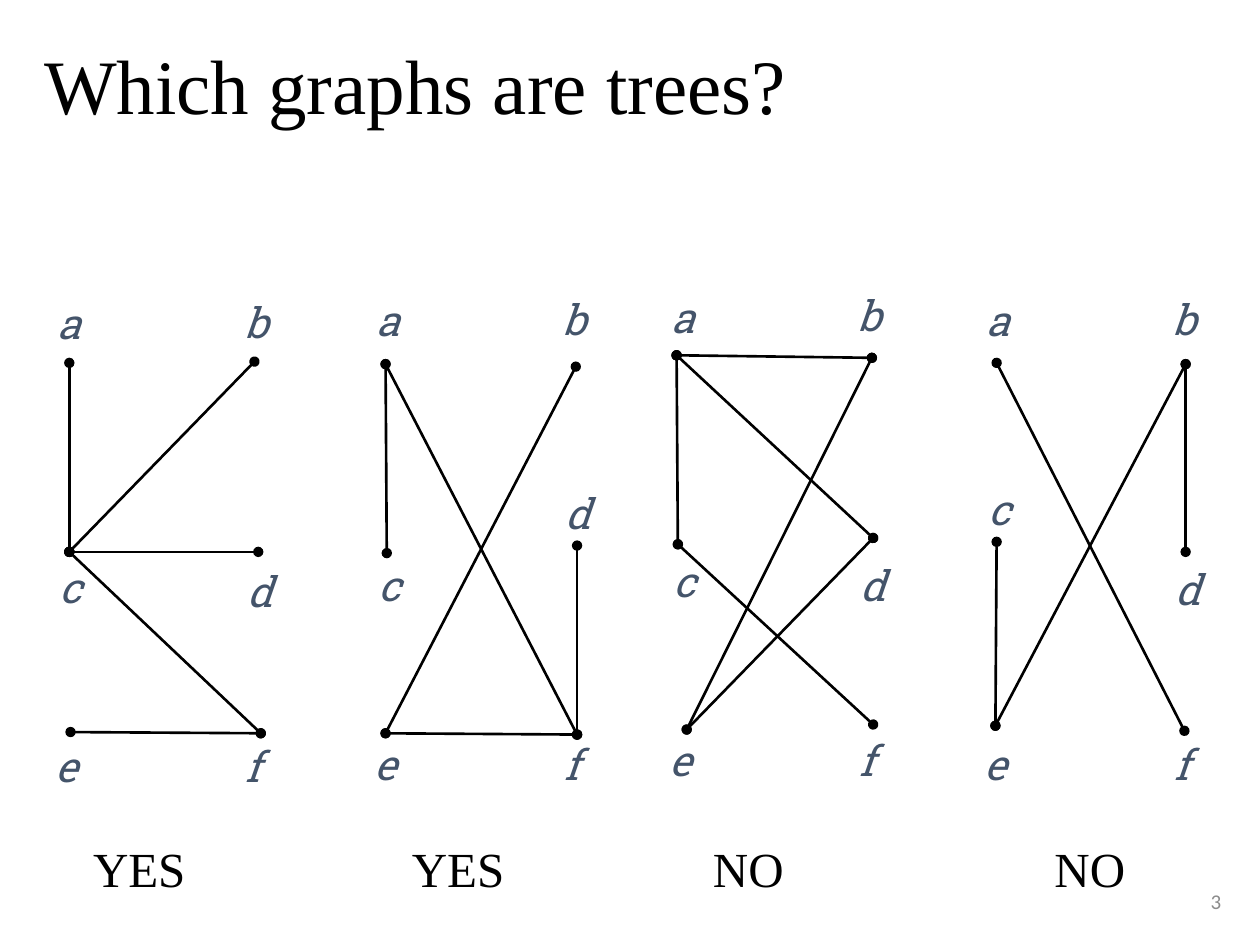
from lxml import etree
from pptx import Presentation
from pptx.dml import color
from pptx.enum import shapes, text
from pptx.oxml import ns
from pptx.util import Inches, Pt

BLACK, SLATE, GREY = "000000", "44546A", "8C8C8C"
SERIF, SLAB, SANS = "Times New Roman", "Roboto Slab", "Calibri"

# Label centres, in inches from the centre of label a
LABELS = {"a": (0, 0), "b": (1.48, -0.01), "c": (0.01, 2.1),
          "d": (1.51, 2.13), "e": (-0.02, 3.52), "f": (1.46, 3.52)}
LABEL_WIDTH, LABEL_HEIGHT = 0.34, 0.4
LIFT = 0.6  # moves a label from below its node to above it

# Each graph: centre of label a, nodes a to f measured from it, edges, lifted labels
GRAPHS = [
    ((0.55, 2.56),
     [(0, 0.32), (1.47, 0.31), (0, 1.82), (1.5, 1.82), (0.01, 3.25), (1.52, 3.26)],
     "cd cb ca cf fe", ""),
    ((3.08, 2.54),
     [(-0.02, 0.35), (1.49, 0.37), (-0.01, 1.85), (1.5, 1.79), (-0.02, 3.28), (1.5, 3.29)],
     "eb ca fe fd af", "d"),
    ((5.42, 2.51),
     [(-0.05, 0.31), (1.5, 0.33), (-0.04, 1.81), (1.51, 1.76), (0.03, 3.28), (1.51, 3.24)],
     "eb ca cf ad ed ab", ""),
    ((7.92, 2.54),
     [(-0.01, 0.34), (1.49, 0.35), (-0.01, 1.76), (1.49, 1.84), (-0.02, 3.22), (1.48, 3.26)],
     "eb db af ce", "c"),
]


def rgb(code):
    return color.RGBColor.from_string(code)


def style(para, name, size, code, italic=False):
    for span in para.runs:
        span.font.name, span.font.size = name, Pt(size)
        span.font.color.rgb = rgb(code)
        span.font.italic = italic


def add_text(parent, words, place, align=text.PP_ALIGN.LEFT, inset=0.1):
    """Add a vertically centred text box and return its paragraph."""
    frame = parent.add_textbox(*map(Inches, place)).text_frame
    frame.word_wrap = True
    frame.vertical_anchor = text.MSO_ANCHOR.MIDDLE
    frame.margin_left = frame.margin_right = Inches(inset)
    frame.margin_top = frame.margin_bottom = Inches(inset / 2)
    para = frame.paragraphs[0]
    para.text = words
    para.alignment = align
    return para


def add_edge(parent, start, end):
    """Join two nodes with a line that draws a dot on each."""
    edge = parent.add_connector(shapes.MSO_CONNECTOR.STRAIGHT,
                                *map(Inches, (*start, *end)))
    edge.line.color.rgb = rgb(BLACK)
    edge.line.width = Pt(1.5)
    for tag in ("a:headEnd", "a:tailEnd"):
        etree.SubElement(edge.line._get_or_add_ln(), ns.qn(tag), type="oval")
    etree.SubElement(edge._element.spPr, ns.qn("a:effectLst"))


def add_graph(page, origin, offsets, edges, lifted):
    left, top = origin
    group = page.shapes.add_group_shape().shapes
    nodes = {name: (left + x, top + y) for name, (x, y) in zip(LABELS, offsets)}
    for start, end in edges.split():
        add_edge(group, nodes[start], nodes[end])
    for name, (x, y) in LABELS.items():
        rise = LIFT if name in lifted else 0
        place = (left + x - LABEL_WIDTH / 2, top + y - rise - LABEL_HEIGHT / 2,
                 LABEL_WIDTH, LABEL_HEIGHT)
        para = add_text(group, name, place, text.PP_ALIGN.CENTER, inset=0)
        style(para, SLAB, 24, SLATE, italic=True)


def add_title(page, words, place):
    title = page.shapes.title
    title.left, title.top, title.width, title.height = map(Inches, place)
    frame = title.text_frame
    frame.text = words
    frame.vertical_anchor = text.MSO_ANCHOR.BOTTOM
    para = frame.paragraphs[0]
    para.alignment = text.PP_ALIGN.LEFT
    para.line_spacing = 0.9
    style(para, SERIF, 44, BLACK)


def add_answers(page, answers, stops, place):
    """Write one answer under each graph, at tab stops."""
    para = add_text(page.shapes, "\t".join(answers), place)
    tabs = etree.SubElement(para._p.get_or_add_pPr(), ns.qn("a:tabLst"))
    for stop in stops:
        etree.SubElement(tabs, ns.qn("a:tab"), pos=str(Inches(stop)), algn="l")
    style(para, SERIF, 28, BLACK)


def main():
    deck = Presentation()
    deck.slide_width, deck.slide_height = Inches(10), Inches(7.5)
    page = deck.slides.add_slide(deck.slide_layouts[5])
    add_title(page, "Which graphs are trees?", (0.25, 0.17, 9.42, 0.92))
    for graph in GRAPHS:
        add_graph(page, *graph)
    add_answers(page, ["YES", "YES", "NO", "NO"], (2.53, 4.92, 7.63),
                (0.64, 6.6, 9.08, 0.57))
    number = add_text(page.shapes, "3", (7.54, 6.95, 2.25, 0.4), text.PP_ALIGN.RIGHT)
    style(number, SANS, 12, GREY)
    deck.save("out.pptx")


if __name__ == "__main__":
    main()
